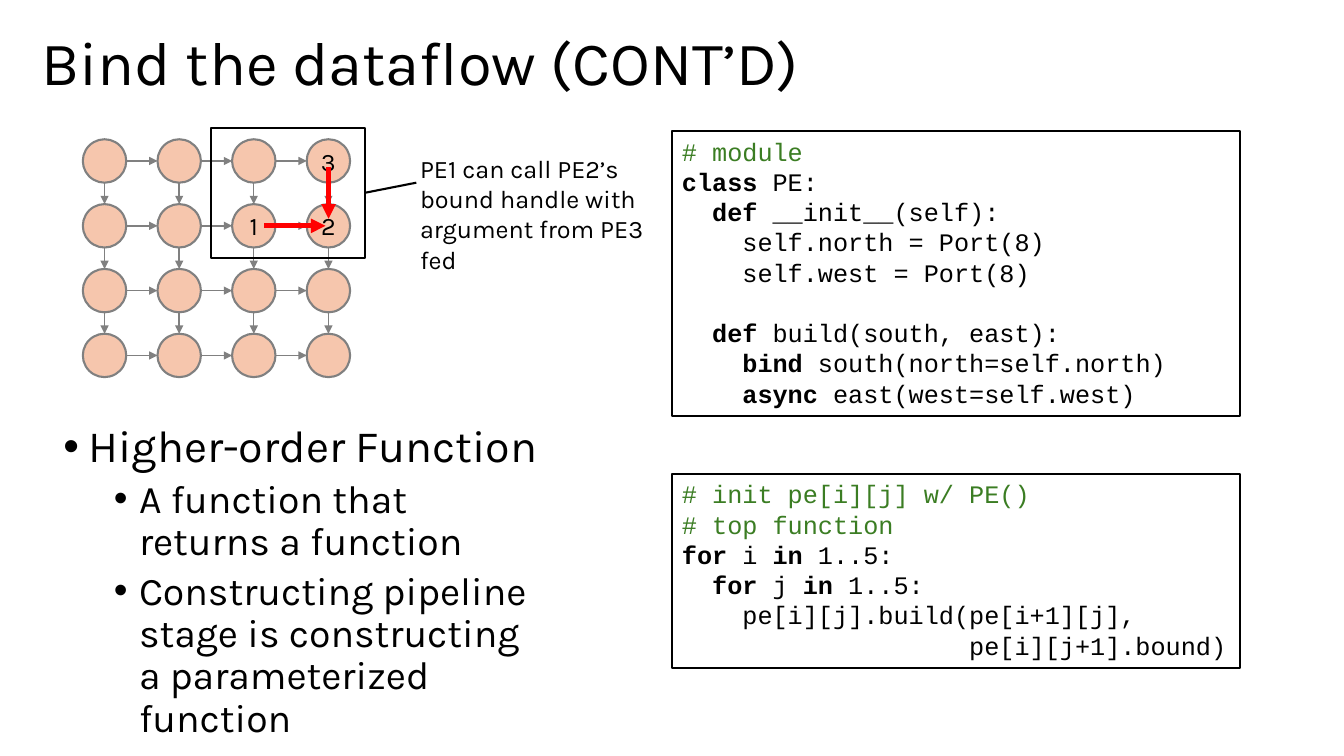
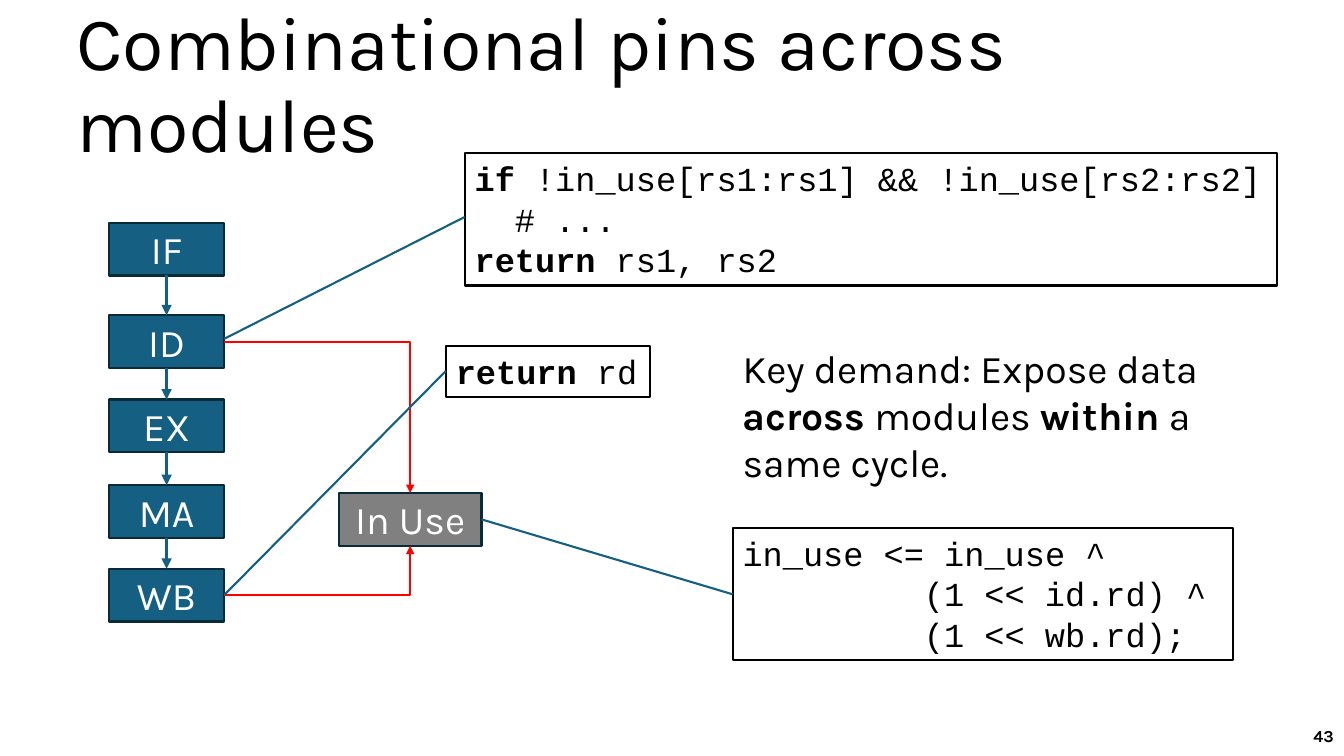
from lxml import etree
from pptx import Presentation
from pptx.dml.color import RGBColor
from pptx.enum import shapes, text
from pptx.oxml.ns import qn
from pptx.util import Pt

# Shared look
hue = {
    "ink": "000000", "white": "FFFFFF", "gray": "808080", "peach": "F6C6AD",
    "green": "3B7D23", "red": "FF0000", "teal": "156082", "navy": "092A39",
}
sans, mono = "Karla", "Courier New"
kind, link = shapes.MSO_SHAPE, shapes.MSO_CONNECTOR
left, mid, right = text.PP_ALIGN.LEFT, text.PP_ALIGN.CENTER, text.PP_ALIGN.RIGHT
top, center = text.MSO_ANCHOR.TOP, text.MSO_ANCHOR.MIDDLE
code = {"font": mono, "fill": "white", "edge": "ink"}
head = {"anchor": center, "lead": 0.9}


def box(page, at, rows=(), size=18, font=sans, tint="ink", fill=None, edge=None,
        form=None, align=left, anchor=top, lead=None, pad=7.2):
    """Add a text box or shape; each row is (text, options), *stars* mean bold."""
    area = [Pt(n) for n in at]
    if fill or edge:
        item = page.shapes.add_shape(form or kind.RECTANGLE, *area)
        item.shadow.inherit = False
        if fill:
            item.fill.solid()
            item.fill.fore_color.rgb = RGBColor.from_string(hue[fill])
        else:
            item.fill.background()
        item.line.color.rgb = RGBColor.from_string(hue[edge])
        item.line.width = Pt(1.5)
    else:
        item = page.shapes.add_textbox(*area)
    frame = item.text_frame
    frame.word_wrap = True
    frame.vertical_anchor = anchor
    frame.margin_left = frame.margin_right = Pt(pad)
    frame.margin_top = frame.margin_bottom = Pt(pad / 2)
    for num, (words, opts) in enumerate(rows):
        para = frame.add_paragraph() if num else frame.paragraphs[0]
        para.alignment = align
        para.level = opts.get("level", 0)
        if lead:
            para.line_spacing = lead
        if "gap" in opts:
            para.space_before = Pt(opts["gap"])
        props = para._p.get_or_add_pPr()
        pts = opts.get("size", size)
        # Code columns are 0.6 of the type size wide
        dent = opts.get("dent", opts.get("col", 0) * 0.6 * pts)
        if dent:
            props.set("marL", str(Pt(dent)))
        if "dent" in opts:
            props.set("indent", str(Pt(-18)))
            etree.SubElement(props, qn("a:buFont")).set("typeface", "Arial")
            etree.SubElement(props, qn("a:buChar")).set("char", "•")
        for part, bit in enumerate(words.split("*")):
            if bit:
                run = para.add_run()
                run.text = bit
                run.font.name = font
                run.font.size = Pt(pts)
                run.font.bold = part % 2 == 1
                run.font.color.rgb = RGBColor.from_string(hue[opts.get("tint", tint)])
    return item


def wire(page, ends, tint, width=1.5, arrow=True, bent=False):
    """Add a line, an arrow or a single-corner elbow."""
    item = page.shapes.add_connector(link.ELBOW if bent else link.STRAIGHT,
                                     *[Pt(n) for n in ends])
    item.line.color.rgb = RGBColor.from_string(hue[tint])
    item.line.width = Pt(width)
    props = item._element.spPr
    if bent:
        props.find(qn("a:prstGeom")).set("prst", "bentConnector2")
    if arrow:
        etree.SubElement(props.get_or_add_ln(), qn("a:tailEnd")).set("type", "triangle")
    etree.SubElement(props, qn("a:effectLst"))


deck = Presentation()
deck.slide_width, deck.slide_height = Pt(960), Pt(540)
blank = deck.slide_layouts[6]

# Slide 1: binding the dataflow
page = deck.slides.add_slide(blank)
box(page, (22.3, 8, 613, 77), [("Bind the dataflow (CONT’D)", {})], 44, **head)

# Grid of processing elements
count, dia, dx, dy, x0, y0 = 4, 31, 53.3, 46.3, 59.2, 99.5
marks = {(0, 3): "3", (1, 2): "1", (1, 3): "2"}
for row in range(count):
    for col in range(count):
        x, y = x0 + col * dx, y0 + row * dy
        rows = [(marks[row, col], {})] if (row, col) in marks else []
        box(page, (x, y, dia, dia), rows, fill="peach", edge="gray",
            form=kind.OVAL, align=mid, anchor=center, pad=0)
        if col < count - 1:
            wire(page, (x + dia, y + dia / 2, x + dx, y + dia / 2), "gray", 1)
        if row < count - 1:
            wire(page, (x + dia / 2, y + dia, x + dia / 2, y + dy), "gray", 1)

# Highlighted elements and their note
box(page, (150.8, 91.5, 110, 93), edge="ink")
wire(page, (260.8, 137.7, 297.4, 130.5), "ink", arrow=False)
box(page, (293, 106, 179.5, 94),
    [("PE1 can call PE2’s bound handle with argument from PE3 fed", {})])

# Code panels
box(page, (480, 338.4, 405.5, 138.5), [
    ("# init pe[i][j] w/ PE()", {"tint": "green"}),
    ("# top function", {"tint": "green"}),
    ("*for* i *in* 1..5:", {}),
    ("*for* j *in* 1..5:", {"col": 2}),
    ("pe[i][j].build(pe[i+1][j],", {"col": 4}),
    ("pe[i][j+1].bound)", {"col": 19}),
], **code)
box(page, (480, 93.6, 405.5, 203.5), [
    ("# module", {"tint": "green"}),
    ("*class* PE:", {}),
    ("*def* __init__(self):", {"col": 2}),
    ("self.north = Port(8)", {"col": 4}),
    ("self.west = Port(8)", {"col": 4}),
    ("*def* build(south, east):", {"col": 2, "gap": 21.6}),
    ("*bind* south(north=self.north)", {"col": 4}),
    ("*async* east(west=self.west)", {"col": 4}),
], **code)

# Bullets
sub = {"dent": 54, "gap": 5, "level": 1}
box(page, (38.2, 299.5, 356.5, 232.5), [
    ("Higher-order Function", {"dent": 18, "gap": 10, "size": 32}),
    ("A function that returns a function", sub),
    ("Constructing pipeline stage is constructing a parameterized function", sub),
], 28, lead=0.9)

# Data moving into element 2
wire(page, (234.7, 119.5, 234.7, 156.2), "red", 3.5)
wire(page, (188.6, 161.3, 232.6, 161.3), "red", 3.5)

# Slide 2: combinational pins
page = deck.slides.add_slide(blank)
box(page, (47.5, 16.5, 833, 91.5), [("Combinational pins across modules", {})], 54, **head)
box(page, (743.8, 511.2, 216, 28.8), [("*43*", {})], 12, align=right, anchor=center)

# Pipeline stages
block = {"size": 28, "tint": "white", "edge": "navy", "align": mid, "anchor": center}
x, wide, high = 77.8, 82.4, 37.7
stages = {"IF": 159.1, "ID": 225.2, "EX": 285.4, "MA": 346.5, "WB": 406.3}
for name, y in stages.items():
    box(page, (x, y, wide, high), [(name, {})], fill="teal", **block)
tops = list(stages.values())
for y, below in zip(tops, tops[1:]):
    wire(page, (x + wide / 2, y + high, x + wide / 2, below), "teal", 2.5)

# Shared state, fed by ID and WB
box(page, (242, 352.1, 102, high), [("In Use", {})], fill="gray", **block)
edge = x + wide
for name, y in (("ID", 352.1), ("WB", 352.1 + high)):
    wire(page, (edge, stages[name] + high / 2, 293, y), "red", bent=True)

# Code panels and their leads
box(page, (331.9, 109.5, 580.5, 94.5), [
    ("*if* !in_use[rs1:rs1] && !in_use[rs2:rs2]", {}),
    ("# ...", {"col": 2}),
    ("*return* rs1, rs2", {}),
], 24, **code)
box(page, (318.5, 247, 145.5, 36.3), [("*return* rd", {})], 24, **code)
box(page, (523.3, 377.2, 357.3, 94.5), [
    ("in_use <= in_use ^", {}),
    ("(1 << id.rd) ^", {"col": 9}),
    ("(1 << wb.rd);", {"col": 9}),
], 24, **code)
for ends in ((edge, 242, 331.9, 155), (edge, 425, 318.5, 265), (344, 371, 523.3, 424.5)):
    wire(page, ends, "teal", arrow=False)

# Key message
box(page, (523.3, 242.6, 389, 109),
    [("Key demand: Expose data *across* modules *within* a same cycle.", {})], 28)

deck.save("out.pptx")
